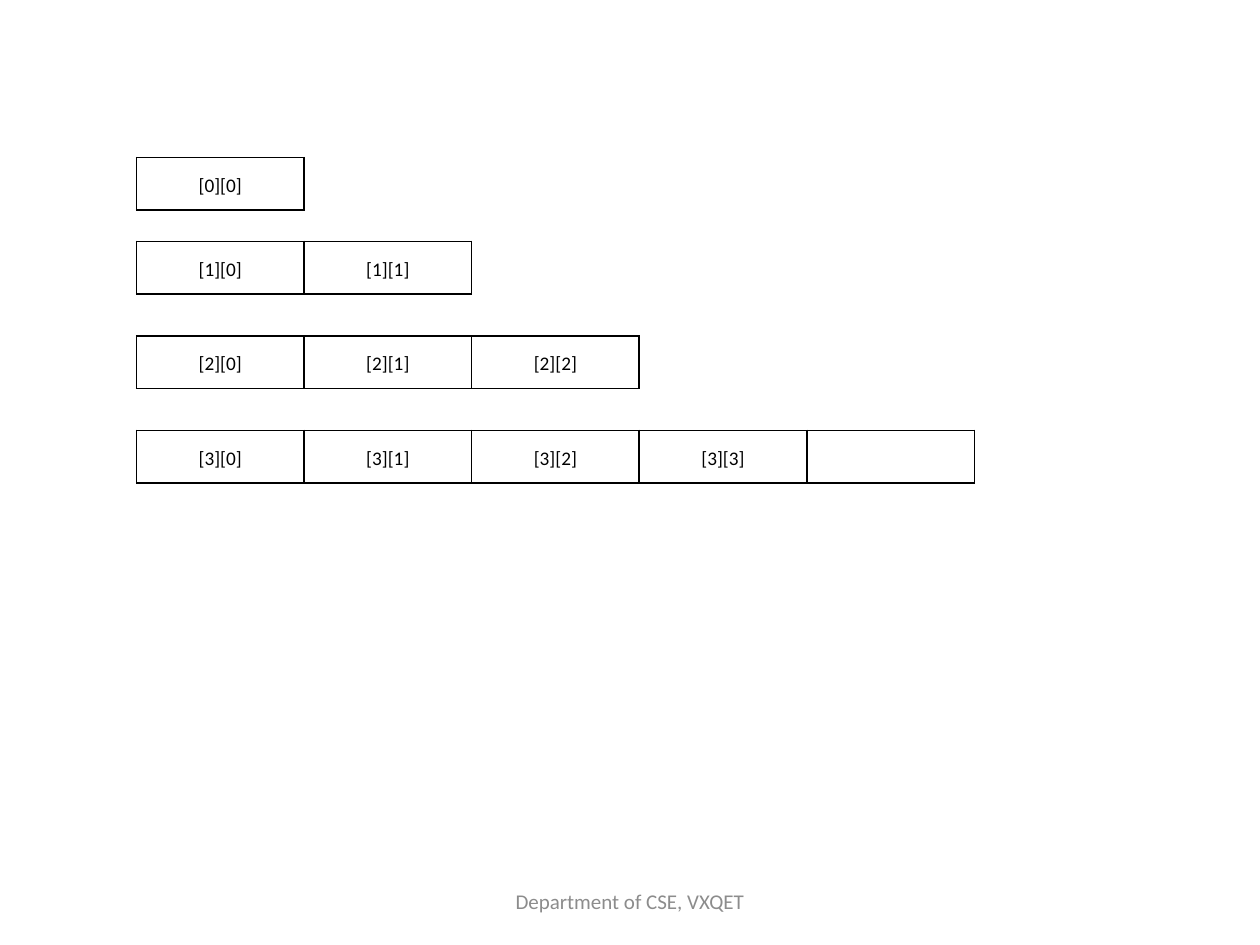
from lxml.etree import fromstring
from pptx import Presentation
from pptx.dml.color import RGBColor
from pptx.enum.text import MSO_ANCHOR, PP_ALIGN
from pptx.util import Pt

# Content: top of each array row and its cell labels
ARRAY_ROWS = [
    (90, ["[0][0]"]),
    (138, ["[1][0]", "[1][1]"]),
    (192, ["[2][0]", "[2][1]", "[2][2]"]),
    (246, ["[3][0]", "[3][1]", "[3][2]", "[3][3]", ""]),
]
FOOTER = "Department of CSE, VXQET"

LEFT, CELL_WIDTH, CELL_HEIGHT = 78, 95.76, 30
BLACK, GRAY = "000000", "8C8C8C"
DRAWING_NS = "http://schemas.openxmlformats.org/drawingml/2006/main"


def color(value):
    return RGBColor.from_string(value)


def add_text(frame, text, size, fill, spacing=None):
    frame.vertical_anchor = MSO_ANCHOR.MIDDLE
    para = frame.paragraphs[0]
    para.alignment = PP_ALIGN.CENTER
    para.line_spacing = spacing
    span = para.add_run()
    span.text = text
    span.font.name = "Calibri"
    span.font.size = Pt(size)
    span.font.color.rgb = color(fill)


def add_borders(cell):
    properties = cell._tc.get_or_add_tcPr()
    for position, side in enumerate("LRTB"):
        properties.insert(position, fromstring(
            f'<a:ln{side} xmlns:a="{DRAWING_NS}" w="{Pt(1)}"><a:solidFill>'
            f'<a:srgbClr val="{BLACK}"/></a:solidFill></a:ln{side}>'))


def add_array_row(page, top, labels):
    frame = page.shapes.add_table(
        1, len(labels), Pt(LEFT), Pt(top),
        Pt(CELL_WIDTH * len(labels)), Pt(CELL_HEIGHT))
    table = frame.table
    table.first_row = table.horz_banding = False
    for column, label in enumerate(labels):
        table.columns[column].width = Pt(CELL_WIDTH)
        cell = table.cell(0, column)
        cell.fill.background()
        cell.margin_left = cell.margin_right = Pt(5)
        cell.margin_top = cell.margin_bottom = 0
        cell.vertical_anchor = MSO_ANCHOR.MIDDLE
        add_borders(cell)
        if label:
            add_text(cell.text_frame, label, 11, BLACK, 1.15)


deck = Presentation()
deck.slide_width, deck.slide_height = Pt(720), Pt(540)
page = deck.slides.add_slide(deck.slide_layouts[6])

# Jagged array, one table per row
for top, labels in ARRAY_ROWS:
    add_array_row(page, top, labels)

# Footer
box = page.shapes.add_textbox(Pt(246), Pt(500.5), Pt(228), Pt(28.75))
box.text_frame.word_wrap = True
add_text(box.text_frame, FOOTER, 12, GRAY)

deck.save("out.pptx")
